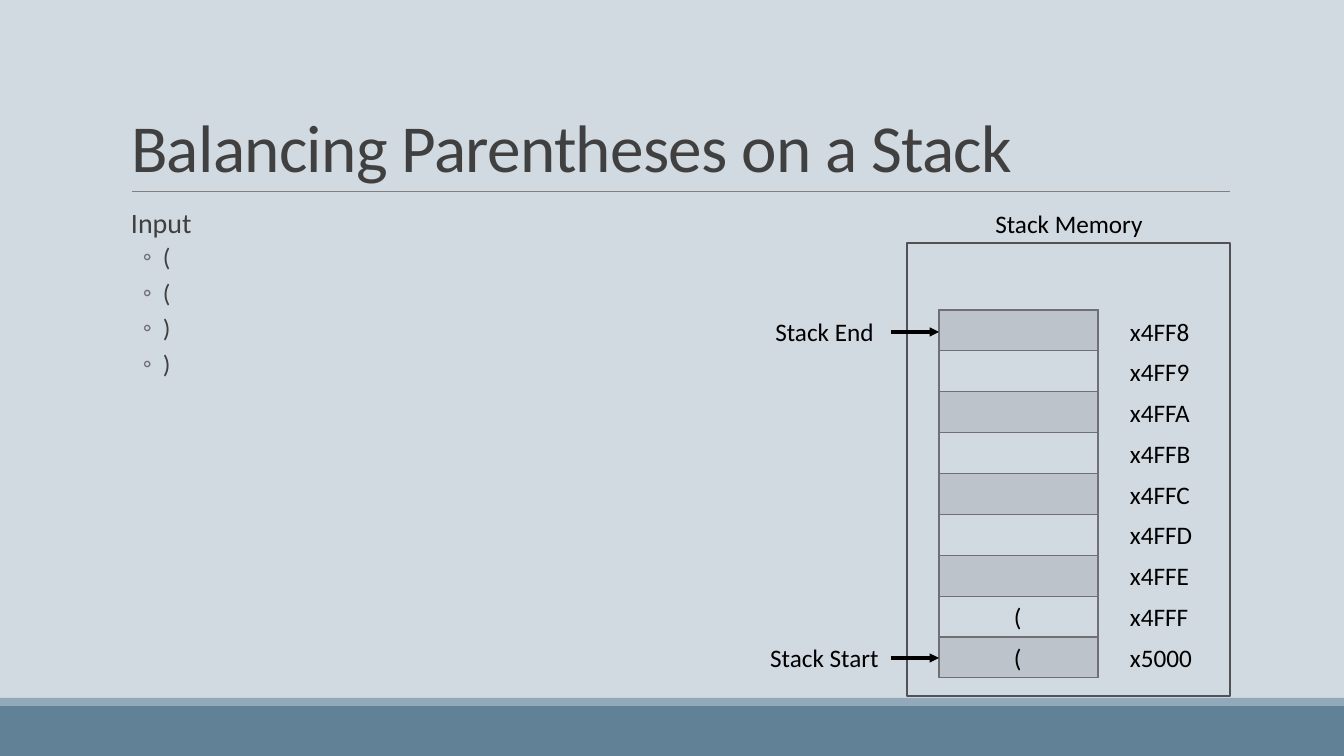
from lxml.etree import SubElement as Sub
from pptx import Presentation
from pptx.dml.color import RGBColor
from pptx.enum.shapes import MSO_CONNECTOR as Conn, MSO_SHAPE as Shape
from pptx.enum.text import MSO_ANCHOR as Anchor, MSO_AUTO_SIZE as Fit, PP_ALIGN as Align
from pptx.oxml.ns import qn
from pptx.util import Emu, Pt

SCALE = 914400 / 100.8
INK, GREY, BLACK = "404040", "6F6F74", "000000"


def px(*nums):
    return [Emu(round(n * SCALE)) for n in nums]


def write(para, text, size=18, color=BLACK, align=Align.LEFT):
    para.alignment = align
    run = para.add_run()
    run.text = text
    run.font.size = Pt(size)
    run.font.name = "Calibri"
    run.font.color.rgb = RGBColor.from_string(color)
    return run


deck = Presentation()
deck.slide_width, deck.slide_height = px(1344, 756)
slide = deck.slides.add_slide(deck.slide_layouts[1])
slide.background.fill.solid()
slide.background.fill.fore_color.rgb = RGBColor.from_string("D1D9E1")
shapes = slide.shapes

for top, high, color in [(706, 50, "618197"), (698, 8, "92A9B9")]:
    band = shapes.add_shape(Shape.RECTANGLE, *px(0, top, 1344, high))
    band.shadow.inherit = False
    band.fill.solid()
    band.fill.fore_color.rgb = RGBColor.from_string(color)
    band.line.fill.background()

title, body = slide.placeholders
title.left, title.top, title.width, title.height = px(121, 31, 1109, 160)
frame = title.text_frame
frame.auto_size = Fit.NONE
frame.vertical_anchor = Anchor.BOTTOM
para = frame.paragraphs[0]
para.line_spacing = 0.85
run = write(para, "Balancing Parentheses on a Stack", size=48, color=INK)
run.font._element.set("spc", "-50")

body.left, body.top, body.width, body.height = px(121, 204, 725, 444)
frame = body.text_frame
frame.auto_size = Fit.NONE
frame.margin_left = frame.margin_right = 0
for i, text in enumerate(["Input", "(", "(", ")", ")"]):
    para = frame.add_paragraph() if i else frame.paragraphs[0]
    size, before, after, left, hang, mark = (
        (18, 2, 4, 42, 20, "\u25e6") if i else (20, 12, 2, 10, 10, " "))
    para.level = 1 if i else 0
    para.line_spacing = 0.9
    para.space_before, para.space_after = Pt(before), Pt(after)
    write(para, text, size=size, color=INK)
    props = para._p.get_or_add_pPr()
    left, hang = px(left, hang)
    props.set("marL", str(left))
    props.set("indent", str(-hang))
    Sub(Sub(props, qn("a:buClr")), qn("a:srgbClr"), val=GREY)
    Sub(props, qn("a:buFont"), typeface="Calibri")
    Sub(props, qn("a:buChar"), char=mark)

table = shapes.add_table(9, 1, *px(939, 310, 159, 368)).table
table.first_row = table.horz_banding = False
for i, row in enumerate(table.rows):
    cell = row.cells[0]
    props = cell._tc.get_or_add_tcPr()
    for side in "LRTB":
        edge = Sub(props, qn("a:ln" + side), w=str(Pt(1)))
        Sub(Sub(edge, qn("a:solidFill")), qn("a:srgbClr"), val=GREY)
    if i % 2:
        cell.fill.background()
    else:
        cell.fill.solid()
        cell.fill.fore_color.rgb = RGBColor.from_string(GREY)
        Sub(props.find(qn("a:solidFill"))[0], qn("a:alpha"), val="20000")

box = shapes.add_shape(Shape.RECTANGLE, *px(907, 243, 323, 453))
box.shadow.inherit = False
box.fill.background()
box.line.color.rgb = RGBColor.from_string("525256")
box.line.width = Pt(1.25)

for x, y, end, color, width, head in [
        (132, 191, 1230, "808080", 0.5, False),
        (891, 332, 939, BLACK, 2.25, True),
        (891, 658, 939, BLACK, 2.25, True)]:
    line = shapes.add_connector(Conn.STRAIGHT, *px(x, y, end, y))
    line.line.color.rgb = RGBColor.from_string(color)
    line.line.width = Pt(width)
    if head:
        Sub(line.line._get_or_add_ln(), qn("a:tailEnd"), type="triangle")
    Sub(line._element.spPr, qn("a:effectLst"))

tops = [311 + 163 * i // 4 for i in range(9)]
names = ["x4FF8", "x4FF9", "x4FFA", "x4FFB", "x4FFC", "x4FFD", "x4FFE", "x4FFF", "x5000"]
labels = [(name, 1120, top, 85, Align.LEFT) for name, top in zip(names, tops)]
labels += [("(", 1004, top, 28, Align.LEFT) for top in tops[-2:]]
labels += [
    ("Stack Memory", 975, 203, 188, Align.CENTER),
    ("Stack End", 742, tops[0], 165, Align.CENTER),
    ("Stack Start", 742, tops[-1], 165, Align.CENTER),
]
for text, x, y, wide, align in labels:
    frame = shapes.add_textbox(*px(x, y, wide, 40)).text_frame
    frame.word_wrap = text != "("
    frame.auto_size = Fit.SHAPE_TO_FIT_TEXT
    write(frame.paragraphs[0], text, align=align)

deck.save("out.pptx")
